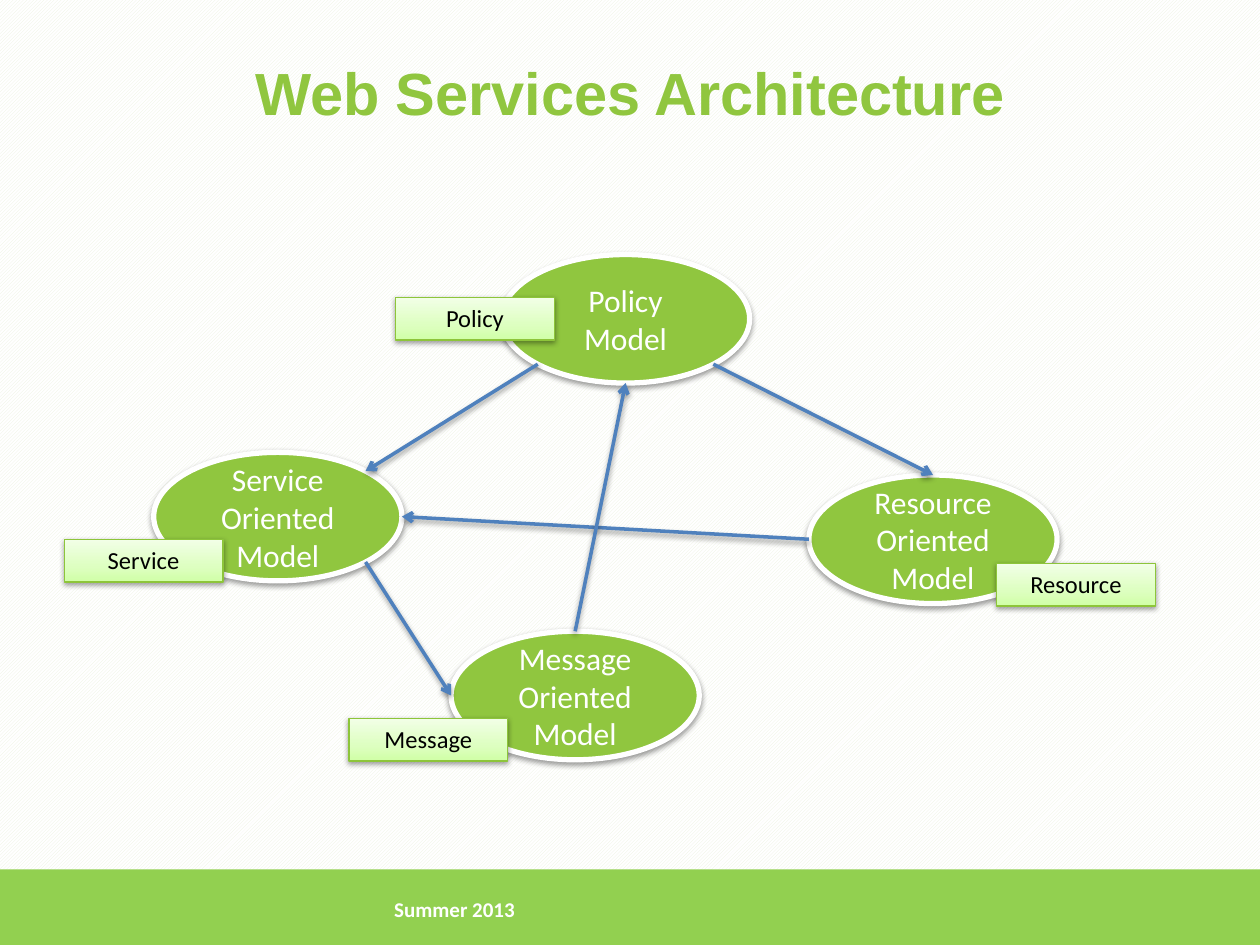
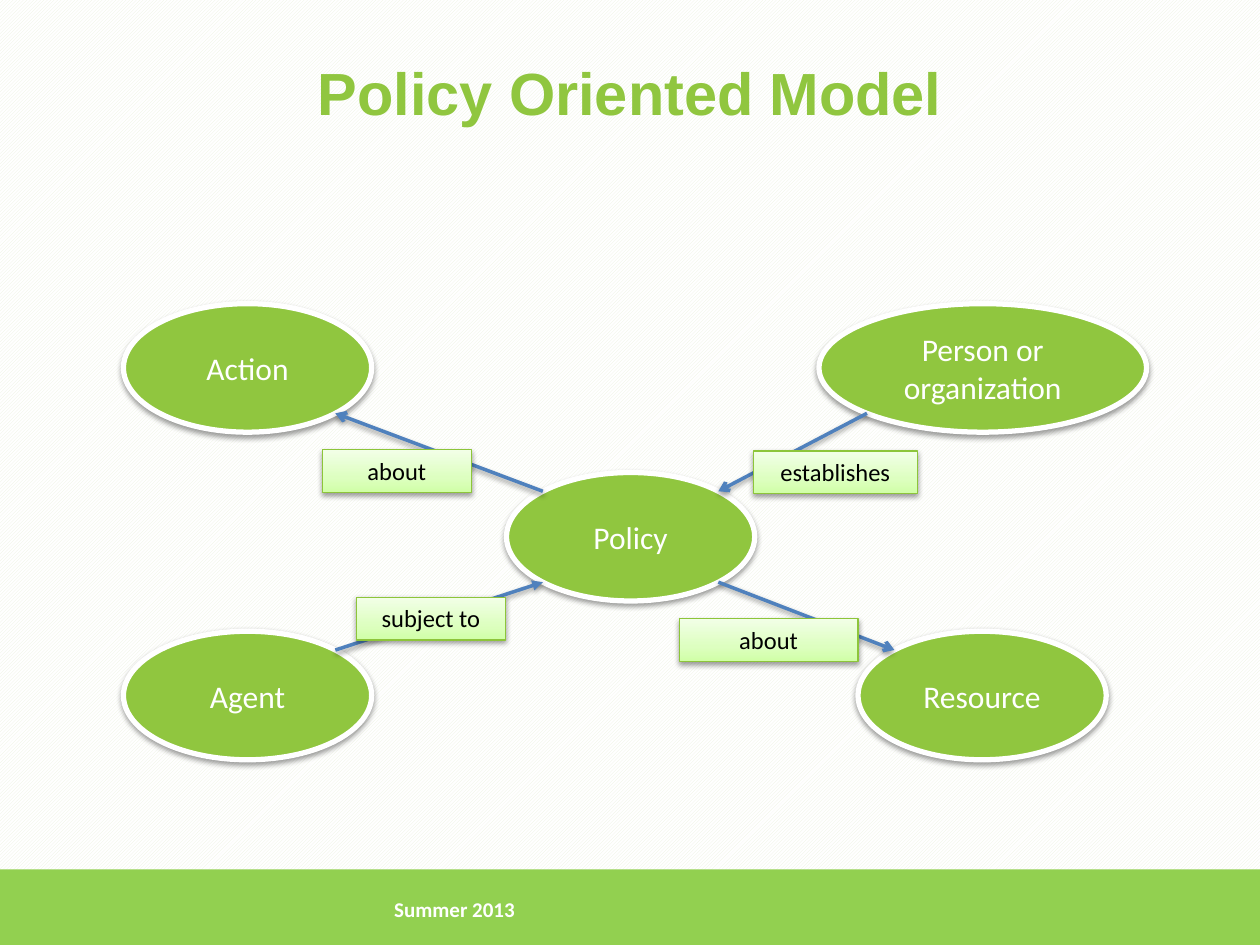
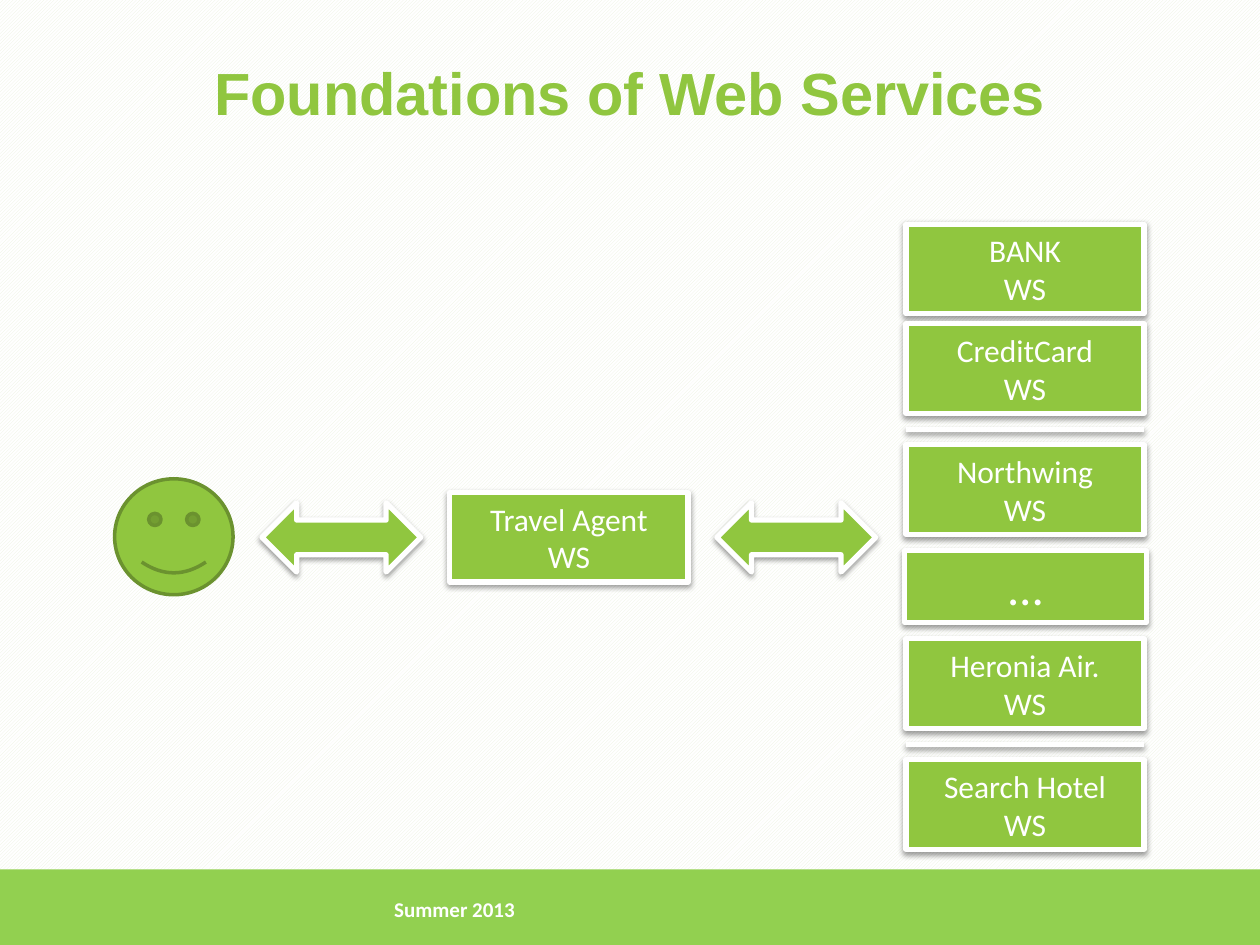
from copy import deepcopy
from math import cos, pi, sin

from lxml import etree
from pptx import Presentation
from pptx import util as u
from pptx.dml import color
from pptx.enum import dml, shapes, text
from pptx.oxml import ns

GREEN = "90C63F"
DARK_GREEN = "6B922F"
BAND_GREEN = "92D050"
LABEL_LINE = "8DC53A"
LABEL_STOPS = [(0, "D0FFA6"), (0.35, "DDFFC0"), (1, "F2FFE7")]
BLUE = "4F81BD"
WHITE = "FFFFFF"
BLACK = "000000"
PATTERN_GREEN = "EBF1DE"

SITES = ["top", "top left", "left", "bottom left",
         "bottom", "bottom right", "right", "top right"]
NODE_WIDTH, NODE_HEIGHT = 1.97, 1.02
SERVICE_WIDTH, SERVICE_HEIGHT = 1.89, 0.71
PROVIDER_LEFT = 7.19


def rgb(value):
    return color.RGBColor.from_string(value)


def inches(*lengths):
    return [u.Inches(length) for length in lengths]


def add_child(parent, tag, **attributes):
    child = etree.SubElement(parent, ns.qn(tag))
    for name, value in attributes.items():
        child.set(name, str(value))
    return child


def cast_shadow(shape):
    effects = add_child(shape._element.spPr, "a:effectLst")
    shadow = add_child(effects, "a:outerShdw", blurRad=40000, dist=20000,
                       dir=5400000, rotWithShape=0)
    shadow_color = add_child(shadow, "a:srgbClr", val=BLACK)
    add_child(shadow_color, "a:alpha", val=38000)


def set_line(shape, line_color, width):
    shape.line.color.rgb = rgb(line_color)
    shape.line.width = u.Pt(width)


def write(shape, content, size, font_color, font="Calibri", bold=False,
          align=text.PP_ALIGN.CENTER, anchor=text.MSO_ANCHOR.MIDDLE, wrap=True):
    frame = shape.text_frame
    frame.text = content
    frame.word_wrap = wrap
    frame.vertical_anchor = anchor
    for paragraph in frame.paragraphs:
        paragraph.alignment = align
        for run in paragraph.runs:
            run.font.name = font
            run.font.size = u.Pt(size)
            run.font.bold = bold
            run.font.color.rgb = rgb(font_color)


def add_solid(slide, kind, box, line_color=WHITE, width=3, shadow=True):
    shape = slide.shapes.add_shape(kind, *inches(*box))
    shape.fill.solid()
    shape.fill.fore_color.rgb = rgb(GREEN)
    set_line(shape, line_color, width)
    if shadow:
        cast_shadow(shape)
    else:
        shape.shadow.inherit = False
    return shape


def add_node(slide, content, left, top, width=NODE_WIDTH):
    node = add_solid(slide, shapes.MSO_SHAPE.OVAL, (left, top, width, NODE_HEIGHT))
    write(node, content, 18, WHITE)
    return node


def add_service(slide, name, left, top):
    box = add_solid(slide, shapes.MSO_SHAPE.RECTANGLE,
                    (left, top, SERVICE_WIDTH, SERVICE_HEIGHT))
    write(box, f"{name}\nWS", 18, WHITE, wrap=False)


def add_label(slide, content, left, top, width=1.26):
    label = slide.shapes.add_shape(shapes.MSO_SHAPE.RECTANGLE,
                                   *inches(left, top, width, 0.34))
    label.fill.gradient()
    label.fill.gradient_angle = 90
    stop_list = next(label._element.spPr.iter(ns.qn("a:gsLst")))
    stop_list.append(deepcopy(stop_list[0]))
    for stop, (position, stop_color) in zip(label.fill.gradient_stops, LABEL_STOPS):
        stop.position = position
        stop.color.rgb = rgb(stop_color)
    set_line(label, LABEL_LINE, 0.75)
    cast_shadow(label)
    write(label, content, 14, BLACK, anchor=text.MSO_ANCHOR.TOP)
    label.text_frame.auto_size = text.MSO_AUTO_SIZE.SHAPE_TO_FIT_TEXT


def add_line(slide, start, end, line_color, width):
    line = slide.shapes.add_connector(shapes.MSO_CONNECTOR.STRAIGHT, *start, *end)
    set_line(line, line_color, width)
    cast_shadow(line)
    return line


def site_point(node, site):
    angle = pi / 2 + SITES.index(site) * pi / 4
    x = node.left + node.width / 2 * (1 + cos(angle))
    y = node.top + node.height / 2 * (1 - sin(angle))
    return round(x), round(y)


def add_arrow(slide, source, source_site, target, target_site, head="arrow"):
    arrow = add_line(slide, site_point(source, source_site),
                     site_point(target, target_site), BLUE, 2)
    add_child(arrow._element.spPr.find(ns.qn("a:ln")), "a:tailEnd", type=head)
    joints = next(arrow._element.iter(ns.qn("p:cNvCxnSpPr")))
    add_child(joints, "a:stCxn", id=source.shape_id, idx=SITES.index(source_site))
    add_child(joints, "a:endCxn", id=target.shape_id, idx=SITES.index(target_site))


def add_slide(presentation, title):
    slide = presentation.slides.add_slide(presentation.slide_layouts[6])
    background = slide.background.fill
    background.patterned()
    background.pattern = dml.MSO_PATTERN.LIGHT_UPWARD_DIAGONAL
    background.fore_color.rgb = rgb(PATTERN_GREEN)
    background.back_color.rgb = rgb(WHITE)

    band = slide.shapes.add_shape(shapes.MSO_SHAPE.RECTANGLE, *inches(0, 6.9, 10, 0.63))
    band.fill.solid()
    band.fill.fore_color.rgb = rgb(BAND_GREEN)
    band.line.fill.background()
    band.shadow.inherit = False

    heading = slide.shapes.add_textbox(*inches(0.5, 0.3, 9, 0.85))
    write(heading, title, 34, GREEN, font="Arial", bold=True)
    footer = slide.shapes.add_textbox(*inches(3.03, 6.9, 6.02, 0.63))
    write(footer, "Summer 2013", 12, WHITE, bold=True, align=text.PP_ALIGN.LEFT)
    return slide


def build_architecture(presentation):
    slide = add_slide(presentation, "Web Services Architecture")
    policy = add_node(slide, "Policy Model", 3.98, 2.02)
    service = add_node(slide, "Service Oriented Model", 1.22, 3.59)
    resource = add_node(slide, "Resource Oriented Model", 6.42, 3.77)
    message = add_node(slide, "Message Oriented Model", 3.58, 5.01)

    add_arrow(slide, policy, "bottom left", service, "top right")
    add_arrow(slide, policy, "bottom right", resource, "top")
    add_arrow(slide, resource, "left", service, "right")
    add_arrow(slide, message, "top", policy, "bottom")
    add_arrow(slide, service, "bottom right", message, "left")

    for content, left, top in [("Policy", 3.14, 2.36), ("Service", 0.51, 4.28),
                               ("Message", 2.77, 5.7), ("Resource", 7.91, 4.47)]:
        add_label(slide, content, left, top)


def build_policy_model(presentation):
    slide = add_slide(presentation, "Policy Oriented Model")
    agent = add_node(slide, "Agent", 0.98, 5.01)
    policy = add_node(slide, "Policy", 4.02, 3.75)
    person = add_node(slide, "Person or organization", 6.5, 2.41, 2.6)
    action = add_node(slide, "Action", 0.98, 2.41)
    resource = add_node(slide, "Resource", 6.81, 5.01)

    add_arrow(slide, policy, "top left", action, "bottom right")
    add_arrow(slide, agent, "top right", policy, "bottom left", "triangle")
    add_arrow(slide, person, "bottom left", policy, "top right")
    add_arrow(slide, policy, "bottom right", resource, "top left")

    for content, left, top, width in [("about", 5.39, 4.91, 1.42),
                                      ("establishes", 5.98, 3.58, 1.3),
                                      ("about", 2.56, 3.57, 1.18),
                                      ("subject to", 2.83, 4.74, 1.18)]:
        add_label(slide, content, left, top, width)


def build_foundations(presentation):
    slide = add_slide(presentation, "Foundations of Web Services")
    for name, top in [("BANK", 1.78), ("CreditCard", 2.57), ("Northwing", 3.53),
                      ("Heronia Air.", 5.07), ("Search Hotel", 6.03)]:
        add_service(slide, name, PROVIDER_LEFT, top)

    more = add_solid(slide, shapes.MSO_SHAPE.RECTANGLE, (7.18, 4.37, 1.92, 0.57))
    write(more, "…", 28, WHITE, anchor=text.MSO_ANCHOR.TOP)
    more.text_frame.auto_size = text.MSO_AUTO_SIZE.SHAPE_TO_FIT_TEXT

    for top in (3.41, 5.91):
        add_line(slide, inches(PROVIDER_LEFT, top),
                 inches(PROVIDER_LEFT + SERVICE_WIDTH, top), WHITE, 3)

    add_service(slide, "Travel Agent", 3.57, 3.91)
    add_solid(slide, shapes.MSO_SHAPE.SMILEY_FACE, (0.91, 3.8, 0.94, 0.92),
              DARK_GREEN, 2, shadow=False)
    for left in (2.08, 5.69):
        add_solid(slide, shapes.MSO_SHAPE.LEFT_RIGHT_ARROW, (left, 3.99, 1.26, 0.55))


def main():
    presentation = Presentation()
    presentation.slide_width, presentation.slide_height = inches(10, 7.5)
    build_architecture(presentation)
    build_policy_model(presentation)
    build_foundations(presentation)
    presentation.save("out.pptx")


if __name__ == "__main__":
    main()
